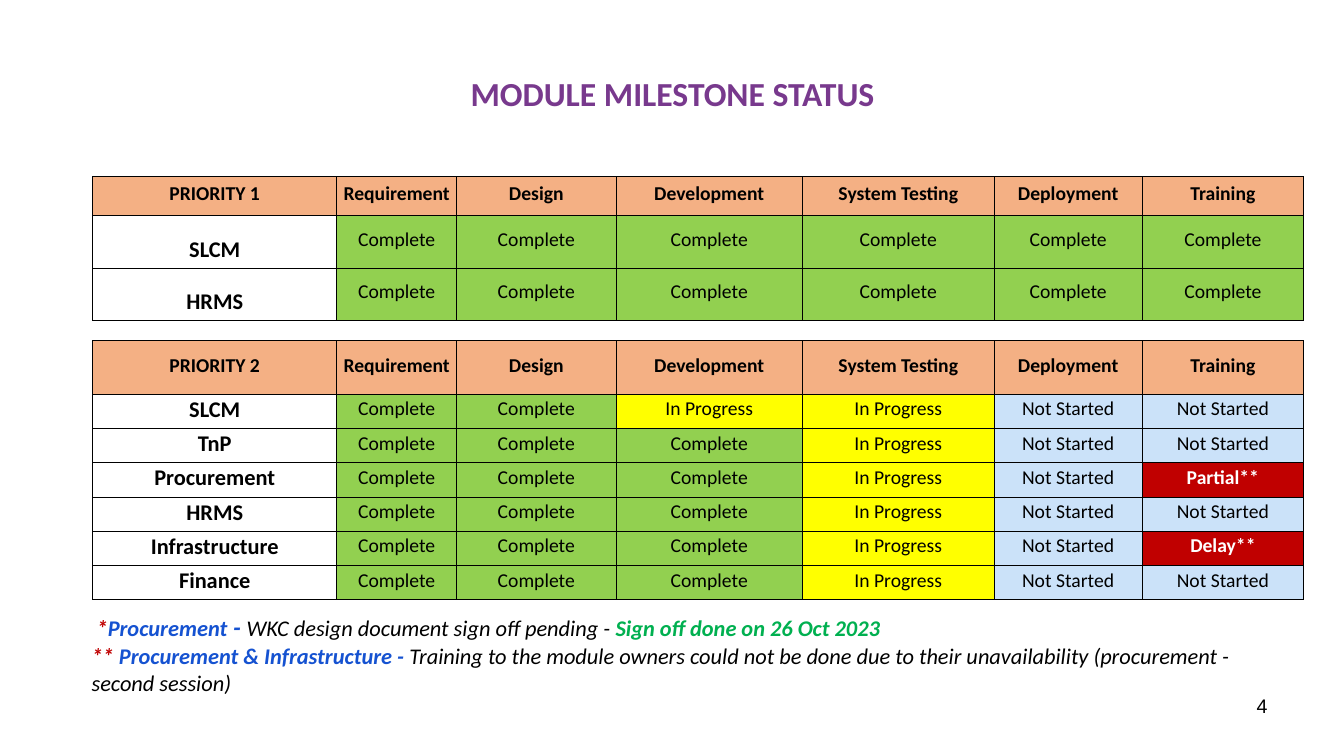
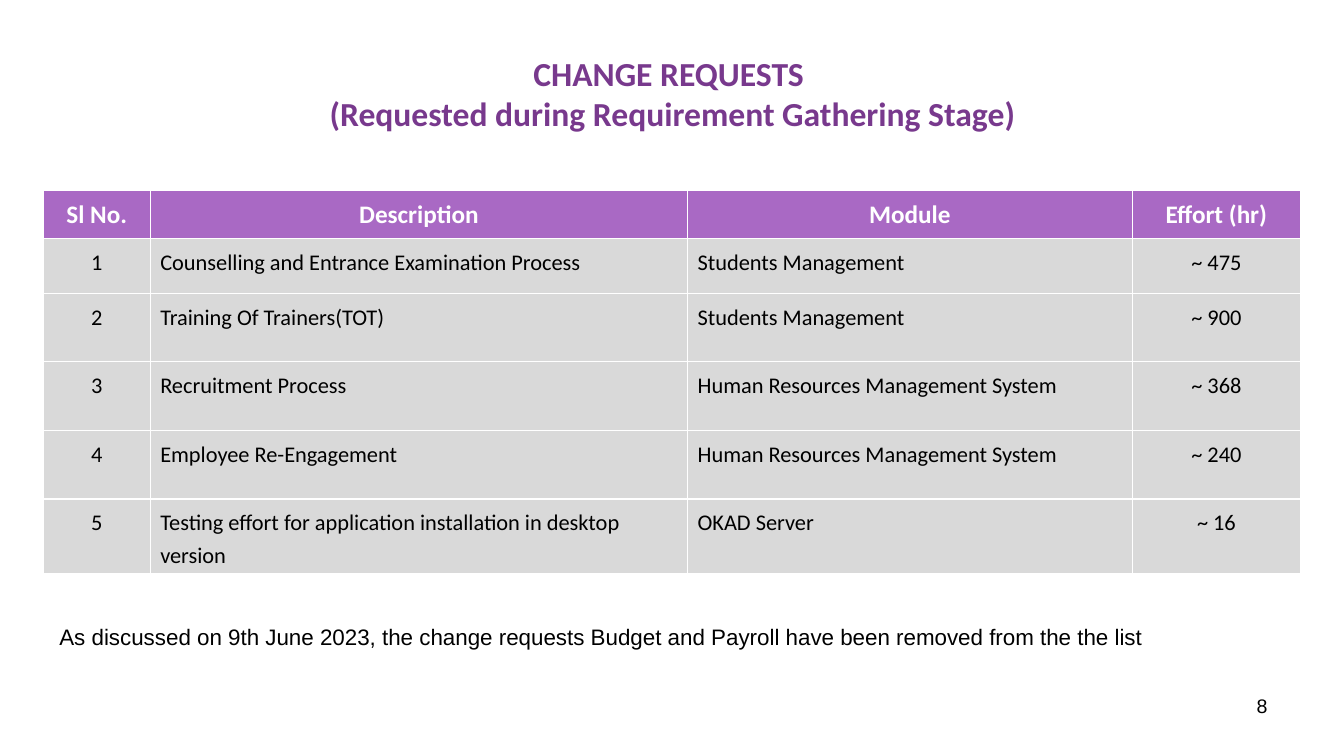
from lxml.etree import SubElement
from pptx import Presentation
from pptx.dml.color import RGBColor
from pptx.enum.text import MSO_ANCHOR, PP_ALIGN
from pptx.oxml.ns import qn
from pptx.util import Inches, Pt

COLORS = {
    "title": "78398D", "black": "000000", "white": "FFFFFF", "red": "C00000",
    "blue": "1552D1", "sign_off": "00B050", "milestone": "F4B084",
    "complete": "92D050", "progress": "FFFF00", "not_started": "CBE2F9",
    "request_header": "A969C4", "request": "D9D9D9",
}
MILESTONES = ["Requirement", "Design", "Development", "System Testing", "Deployment", "Training"]
MILESTONE_WIDTHS = [2.42, 1.19, 1.58, 1.85, 1.9, 1.47, 1.6]
C, P, N = "Complete", "In Progress", "Not Started"
STATUS_FILLS = {C: "complete", P: "progress", N: "not_started", "Partial**": "red", "Delay**": "red"}
PRIORITIES = [
    {"name": "PRIORITY 1", "top": 1.75, "header": 0.39, "row": 0.52,
     "modules": [("SLCM", [C] * 6), ("HRMS", [C] * 6)]},
    {"name": "PRIORITY 2", "top": 3.38, "header": 0.53, "row": 0.34,
     "modules": [
         ("SLCM", [C, C, P, P, N, N]),
         ("TnP", [C, C, C, P, N, N]),
         ("Procurement", [C, C, C, P, N, "Partial**"]),
         ("HRMS", [C, C, C, P, N, N]),
         ("Infrastructure", [C, C, C, P, N, "Delay**"]),
         ("Finance", [C, C, C, P, N, N]),
     ]},
]
TRAINING_NOTES = [
    [(" *", {"color": "red", "bold": True}),
     ("Procurement", {"color": "blue", "bold": True}),
     (" ", {"color": "blue", "size": 18}),
     ("- ", {"color": "blue", "size": 18, "bold": True}),
     ("WKC design document sign off pending - ", {}),
     ("Sign off done on 26 Oct 2023", {"color": "sign_off", "bold": True})],
    [("** ", {"color": "red", "bold": True}),
     ("Procurement & Infrastructure - ", {"color": "blue", "bold": True}),
     ("Training to the module owners could not be done due to their unavailability "
      "(procurement - second session)", {})],
]
REQUEST_HEADERS = ["Sl No.", "Description", "Module", "Effort (hr)"]
REQUEST_WIDTHS = [1.06, 5.33, 4.41, 1.67]
REQUEST_HEIGHTS = [0.48, 0.54] + [0.68] * 4
REQUESTS = [
    ("Counselling and Entrance Examination Process", "Students Management", "~ 475"),
    ("Training Of Trainers(TOT)", "Students Management", "~ 900"),
    ("Recruitment Process", "Human Resources Management System", "~ 368"),
    ("Employee Re-Engagement", "Human Resources Management System", "~ 240"),
    ("Testing effort for application installation in desktop version", "OKAD Server", "~ 16"),
]
REMOVED_NOTE = ("As discussed on 9th June 2023, the change requests Budget and Payroll "
                "have been removed from the the list")


def write(frame, text, align=PP_ALIGN.LEFT, spacing=None, **style):
    paragraphs = [[(text, {})]] if isinstance(text, str) else text
    for index, runs in enumerate(paragraphs):
        paragraph = frame.add_paragraph() if index else frame.paragraphs[0]
        paragraph.alignment = align
        if spacing:
            paragraph.line_spacing = spacing
        for words, changes in runs:
            look = {"size": 16, "font": "Calibri", "color": "black",
                    "bold": False, "italic": False} | style | changes
            for number, line in enumerate(words.split("\n")):
                if number:
                    paragraph.add_line_break()
                run = paragraph.add_run()
                run.text = line
                run.font.size = Pt(look["size"])
                run.font.name = look["font"]
                run.font.bold = look["bold"]
                run.font.italic = look["italic"]
                run.font.color.rgb = RGBColor.from_string(COLORS[look["color"]])


def add_text(slide, box, text, anchor=MSO_ANCHOR.TOP, **style):
    frame = slide.shapes.add_textbox(*map(Inches, box)).text_frame
    frame.word_wrap = True
    frame.vertical_anchor = anchor
    write(frame, text, **style)


def add_page(deck, title, number):
    slide = deck.slides.add_slide(deck.slide_layouts[6])
    add_text(slide, (0.67, 0.3, 12, 1.25), title, anchor=MSO_ANCHOR.MIDDLE,
             align=PP_ALIGN.CENTER, size=24, bold=True, color="title")
    add_text(slide, (9.56, 6.83, 3.11, 0.52), number, align=PP_ALIGN.RIGHT, size=14, font="Arial")
    return slide


def add_grid(slide, left, top, widths, heights):
    table = slide.shapes.add_table(len(heights), len(widths), Inches(left), Inches(top),
                                   Inches(sum(widths)), Inches(sum(heights))).table
    table.first_row = table.horz_banding = False
    for column, width in zip(table.columns, widths):
        column.width = Inches(width)
    for row, height in zip(table.rows, heights):
        row.height = Inches(height)
    return table


def fill_cell(cell, text, fill, border, border_width, anchor=MSO_ANCHOR.MIDDLE, tight=False, **style):
    if tight:
        cell.margin_left = cell.margin_right = cell.margin_top = Inches(0.01)
        cell.margin_bottom = Inches(0.05)
    cell.vertical_anchor = anchor
    properties = cell._tc.get_or_add_tcPr()
    for side in ("a:lnL", "a:lnR", "a:lnT", "a:lnB"):
        edge = SubElement(properties, qn(side), w=str(Pt(border_width)))
        SubElement(SubElement(edge, qn("a:solidFill")), qn("a:srgbClr"), val=COLORS[border])
    cell.fill.solid()
    cell.fill.fore_color.rgb = RGBColor.from_string(COLORS[fill])
    write(cell.text_frame, text, **style)


def add_priority(slide, priority):
    modules = priority["modules"]
    heights = [priority["header"]] + [priority["row"]] * len(modules)
    table = add_grid(slide, 0.92, priority["top"], MILESTONE_WIDTHS, heights)
    shared = {"border": "black", "border_width": 0.5, "tight": True, "align": PP_ALIGN.CENTER}
    for column, heading in enumerate([priority["name"]] + MILESTONES):
        fill_cell(table.cell(0, column), heading, "milestone", size=14, bold=True, **shared)
    for row, (module, statuses) in enumerate(modules, 1):
        fill_cell(table.cell(row, 0), module, "white", anchor=MSO_ANCHOR.BOTTOM, bold=True, **shared)
        for column, status in enumerate(statuses, 1):
            fill = STATUS_FILLS[status]
            late = fill == "red"
            fill_cell(table.cell(row, column), status, fill, size=14, bold=late,
                      color="white" if late else "black", **shared)


def add_requests(slide):
    table = add_grid(slide, 0.43, 1.89, REQUEST_WIDTHS, REQUEST_HEIGHTS)
    shared = {"border": "white", "border_width": 1}
    for column, heading in enumerate(REQUEST_HEADERS):
        fill_cell(table.cell(0, column), heading, "request_header", align=PP_ALIGN.CENTER,
                  size=18, bold=True, color="white", **shared)
    for row, request in enumerate(REQUESTS, 1):
        for column, text in enumerate((str(row),) + request):
            align = PP_ALIGN.CENTER if column in (0, 3) else PP_ALIGN.LEFT
            fill_cell(table.cell(row, column), text, "request", anchor=MSO_ANCHOR.TOP,
                      align=align, spacing=1.2, **shared)


def main():
    deck = Presentation()
    deck.slide_width, deck.slide_height = Inches(13.33), Inches(7.5)

    status = add_page(deck, "MODULE MILESTONE STATUS", "4")
    for priority in PRIORITIES:
        add_priority(status, priority)
    add_text(status, (0.81, 6.02, 12.11, 0.89), TRAINING_NOTES, italic=True)

    changes = add_page(deck, "CHANGE REQUESTS \n(Requested during Requirement Gathering Stage)", "8")
    add_requests(changes)
    add_text(changes, (0.49, 6.13, 12.18, 0.37), REMOVED_NOTE, font="Arial")

    deck.save("out.pptx")


if __name__ == "__main__":
    main()
